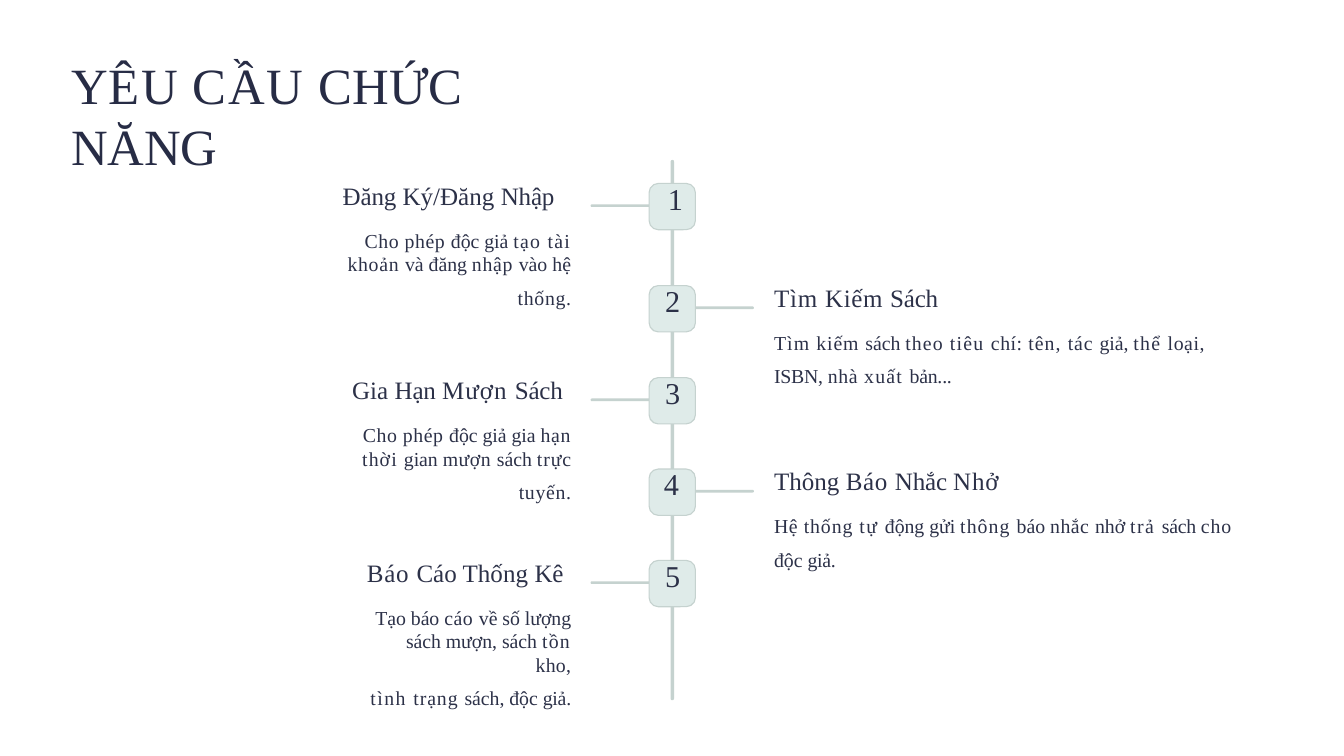
"""Build the functional requirements timeline slide."""
from pptx import Presentation
from pptx import util as u
from pptx.dml.color import RGBColor
from pptx.enum import shapes, text

PX = 4572
THEME = {
    "font": "Times New Roman",
    "title": RGBColor.from_string("272C45"),
    "ink": RGBColor.from_string("2C3148"),
    "line": RGBColor.from_string("C5D2CF"),
    "badge": RGBColor.from_string("DFEBE9"),
    "title_size": 27.2,
    "number_size": 16.2,
    "heading_size": 13.4,
    "body_size": 10.6,
}

presentation = Presentation()
presentation.slide_width = 2000 * PX
presentation.slide_height = 1125 * PX
slide = presentation.slides.add_slide(presentation.slide_layouts[6])


def add_rounded(left, top, width, height, fill, corner):
    shape = slide.shapes.add_shape(
        shapes.MSO_SHAPE.ROUNDED_RECTANGLE, left * PX, top * PX, width * PX, height * PX)
    shape.adjustments[0] = corner
    shape.shadow.inherit = False
    shape.fill.solid()
    shape.fill.fore_color.rgb = fill
    shape.line.fill.background()
    return shape


def add_text(left, top, width, height, paragraphs, color=THEME["ink"]):
    frame = slide.shapes.add_textbox(left * PX, top * PX, width * PX, height * PX).text_frame
    frame.word_wrap = True
    frame.auto_size = text.MSO_AUTO_SIZE.SHAPE_TO_FIT_TEXT
    frame.margin_left = frame.margin_right = frame.margin_bottom = 0
    frame.margin_top = 2 * PX
    for index, (size, before, indent, align, spacing, runs) in enumerate(paragraphs):
        paragraph = frame.paragraphs[0] if index == 0 else frame.add_paragraph()
        paragraph.alignment = align
        paragraph.space_before = u.Pt(before)
        paragraph.line_spacing = spacing
        properties = paragraph._p.get_or_add_pPr()
        properties.set("marL", str(indent * PX))
        properties.set("indent", "0")
        for words, tracking in runs:
            run = paragraph.add_run()
            run.text = words
            run.font.name = THEME["font"]
            run.font.size = u.Pt(size)
            run.font.color.rgb = color
            run._r.get_or_add_rPr().set("spc", str(round(tracking * 100)))


LEFT, RIGHT = text.PP_ALIGN.LEFT, text.PP_ALIGN.RIGHT

steps = [
    {"top": 273, "side": RIGHT, "box": (132, 718, 162), "indent": 378, "number": (992, 18, -4.2),
     "heading": [("Đăng ", -0.1), ("Ký/Đăng ", 0), ("Nhập", -0.1)],
     "body": [
         (9.8, 1.0, [("Cho phép ", 0.3), ("độc giả ", 0), ("tạo tài ", 0.7), ("khoản ", 0.4),
                     ("và đăng ", 0), ("nhập ", 0.4), ("vào ", 0), ("hệ", 0.2)]),
         (5.1, 1.0, [("thống.", 0.4)])]},
    {"top": 425, "side": LEFT, "box": (1150, 682, 162), "indent": 2, "number": (988, 26, -0.3),
     "heading": [("Tìm ", 0.4), ("Kiếm ", 0.3), ("Sách", -0.1)],
     "body": [
         (9.8, 1.0, [("Tìm ", 0.6), ("kiếm ", 0.5), ("sách ", 0), ("theo ", 0.6), ("tiêu ", 0.7),
                     ("chí: ", 0.3), ("tên, ", 0.6), ("tác ", 0.5), ("giả, ", 0),
                     ("thể ", 0.7), ("loại,", 0.3)]),
         (5.1, 1.0, [("ISBN, ", -0.1), ("nhà ", 0.4), ("xuất ", 0.7), ("bản...", -0.1)])]},
    {"top": 562, "side": RIGHT, "box": (148, 702, 162), "indent": 376, "number": (988, 26, -0.3),
     "heading": [("Gia ", 0), ("Hạn ", -0.1), ("Mượn ", 0.5), ("Sách", -0.1)],
     "body": [
         (9.8, 1.0, [("Cho phép ", 0.3), ("độc giả gia ", 0), ("hạn ", 0.4), ("thời ", 0.6),
                     ("gian ", 0), ("mượn ", 0.3), ("sách ", 0), ("trực", 0.5)]),
         (5.1, 1.0, [("tuyến.", 0.4)])]},
    {"top": 698, "side": LEFT, "box": (1150, 696, 156), "indent": 2, "number": (986, 28, -0.3),
     "heading": [("Thông ", 0), ("Báo ", 0.3), ("Nhắc ", -0.1), ("Nhở", 0.4)],
     "body": [
         (4.7, 1.4, [("Hệ ", 0.3), ("thống ", 0.5), ("tự ", 0.8), ("động gửi ", 0),
                     ("thông ", 0.6), ("báo ", 0), ("nhắc ", 0.3), ("nhở ", 0), ("trả ", 0.8),
                     ("sách ", -0.1), ("cho ", 0.5), ("độc ", 0), ("giả.", -0.1)])]},
    {"top": 834, "side": RIGHT, "box": (158, 692, 162), "indent": 388, "number": (988, 26, -0.3),
     "heading": [("Báo ", 0.4), ("Cáo Thống ", 0), ("Kê", -0.2)],
     "body": [
         (9.8, 1.0, [("Tạo báo ", 0), ("cáo ", 0.3), ("về số lượng sách mượn, sách ", 0),
                     ("tồn ", 0.7), ("kho,", 0.2)]),
         (5.1, 1.0, [("tình ", 0.8), ("trạng ", 0.5), ("sách, độc ", 0), ("giả.", -0.1)])]},
]

title_runs = [("YÊU ", 0.6), ("CẦU ", 0.8), ("CHỨC NĂNG", -0.1)]
add_text(104, 78, 742, 188, [(THEME["title_size"], 0.7, 2, LEFT, 1.0, title_runs)], THEME["title"])

add_rounded(998, 238, 5, 804, THEME["line"], 0.5)

for number, step in enumerate(steps, 1):
    top, side, indent = step["top"], step["side"], step["indent"]
    add_rounded(879 if side == RIGHT else 1030, top + 31, 92, 4, THEME["line"], 0.5)
    badge = add_rounded(966, top, 69, 69, THEME["badge"], 0.2)
    badge.line.color.rgb = THEME["line"]
    badge.line.width = u.Pt(0.6)

    left, width, tracking = step["number"]
    add_text(left, top - 7, width, 56,
             [(THEME["number_size"], 0.8, 2, LEFT, 1.0, [(str(number), tracking)])])

    left, width, height = step["box"]
    paragraphs = [(THEME["heading_size"], 0.8, indent, LEFT, 1.0, step["heading"])]
    for before, spacing, runs in step["body"]:
        paragraphs.append((THEME["body_size"], before, indent, side, spacing, runs))
    add_text(left, top - 7, width, height, paragraphs)

presentation.save("out.pptx")
